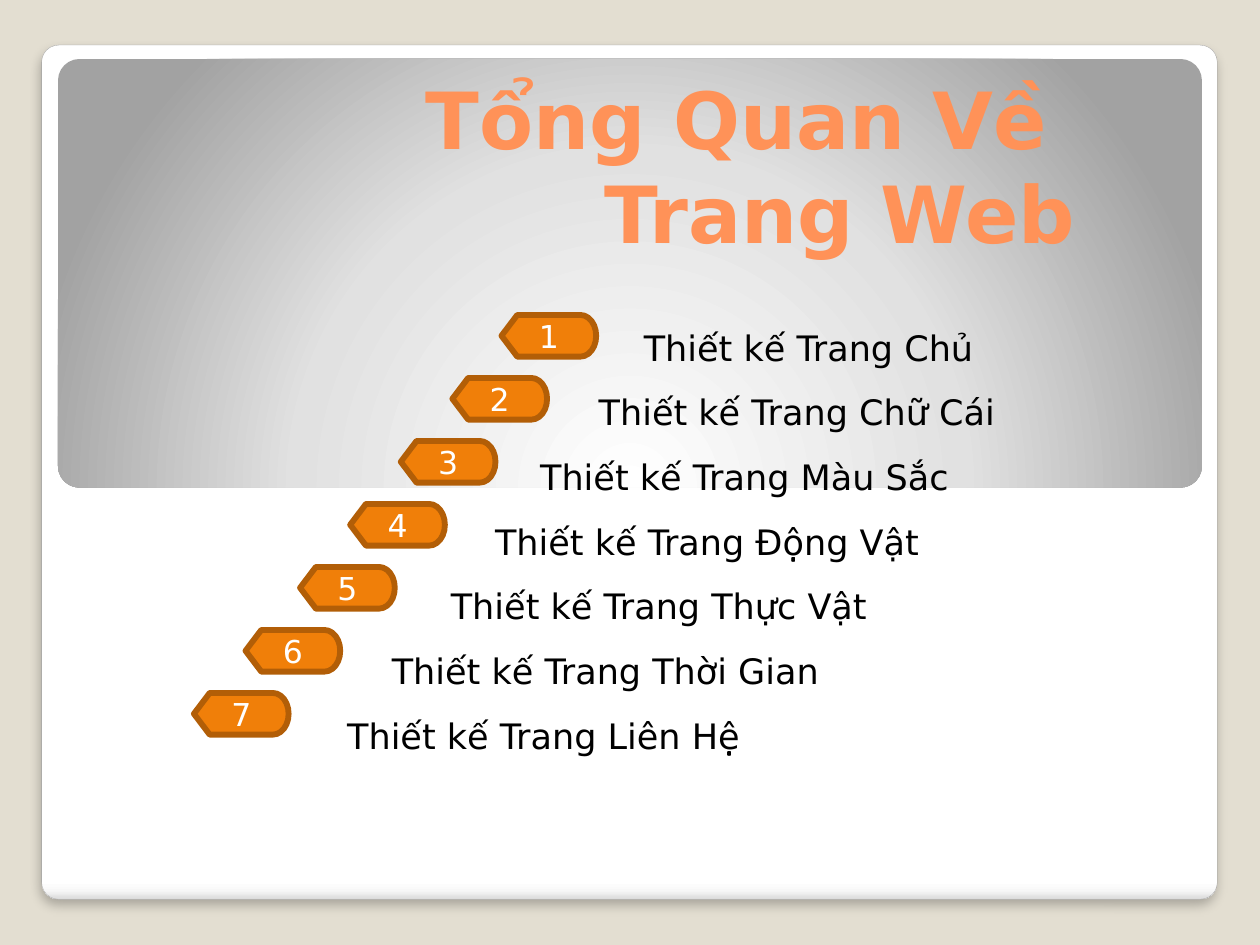
from lxml.etree import SubElement
from pptx import Presentation
from pptx.dml.color import RGBColor
from pptx.enum.shapes import MSO_SHAPE
from pptx.enum.text import MSO_ANCHOR, PP_ALIGN
from pptx.oxml.ns import qn
from pptx.util import Cm, Pt

FONT = "DejaVu Sans"
COLORS = {
    "background": "E3DED1", "card_line": "A4A4A4", "title": "FF9258",
    "text": "000000", "badge": "F07F09", "badge_line": "B25E07", "number": "FFFFFF",
}
RGB = {name: RGBColor.from_string(value) for name, value in COLORS.items()}

# Menu text, left edge of its badge (cm), indent of its text (cm)
MENU = [
    ("Thiết kế Trang Chủ", 10.11, 11.61),
    ("Thiết kế Trang Chữ Cái", 9.12, 10.7),
    ("Thiết kế Trang Màu Sắc", 8.08, 9.52),
    ("Thiết kế Trang Động Vật", 7.06, 8.61),
    ("Thiết kế Trang Thực Vật", 6.05, 7.72),
    ("Thiết kế Trang Thời Gian", 4.95, 6.53),
    ("Thiết kế Trang Liên Hệ", 3.91, 5.63),
]


def fill_gradient(sp, stops, kind, **attrs):
    """Fill sp with (percent, hex) stops; kind is "lin" or "path"."""
    sp.fill.gradient()
    grad = sp._element.spPr.find(qn("a:gradFill"))
    for child in list(grad):
        grad.remove(child)
    stop_list = SubElement(grad, qn("a:gsLst"))
    for percent, color in stops:
        stop = SubElement(stop_list, qn("a:gs"), pos=str(percent * 1000))
        SubElement(stop, qn("a:srgbClr"), val=color)
    return SubElement(grad, qn(f"a:{kind}"), **attrs)


def style_font(font, size, color, bold=False):
    values = {"name": FONT, "size": Pt(size), "bold": bold}
    for name, value in values.items():
        setattr(font, name, value)
    font.color.rgb = RGB[color]


prs = Presentation()
prs.slide_width, prs.slide_height = Cm(25.4), Cm(19.05)
s = prs.slides.add_slide(prs.slide_layouts[6])
s.background.fill.solid()
s.background.fill.fore_color.rgb = RGB["background"]

# White card with a soft shadow
card = s.shapes.add_shape(MSO_SHAPE.ROUNDED_RECTANGLE, Cm(0.84), Cm(0.91), Cm(23.7), Cm(17.22))
card.adjustments[0] = 0.02
fill_gradient(card, [(0, "FFFFFF"), (98, "FFFFFF"), (99, "F7F7F7"), (100, "DADADA")],
              "lin", ang="5400000", scaled="0")
card.line.color.rgb = RGB["card_line"]
card.line.width = Pt(0.16)
card.shadow.inherit = False
shadow = SubElement(card._element.spPr.find(qn("a:effectLst")), qn("a:outerShdw"),
                    blurRad=str(Pt(6)), dist=str(Pt(4)), dir="5400000", rotWithShape="0")
shadow_color = SubElement(shadow, qn("a:srgbClr"), val="000000")
SubElement(shadow_color, qn("a:alpha"), val="25000")

# Grey panel behind the title
panel = s.shapes.add_shape(MSO_SHAPE.ROUNDED_RECTANGLE, Cm(1.17), Cm(1.19), Cm(23.06), Cm(8.64))
panel.adjustments[0] = 0.05
path = fill_gradient(panel, [(0, "FFFFFF"), (55, "E1E1E1"), (100, "A2A2A2")],
                     "path", path="circle")
SubElement(path, qn("a:fillToRect"), l="50000", t="175000", r="50000", b="-75000")
panel.line.fill.background()
panel.shadow.inherit = False

# Title
title = s.shapes.add_textbox(Cm(1.68), Cm(1.27), Cm(20.12), Cm(4.09))
tf = title.text_frame
inset = Cm(0.13)
for name, value in {"word_wrap": True, "vertical_anchor": MSO_ANCHOR.BOTTOM,
                    "margin_left": inset, "margin_right": inset,
                    "margin_top": inset, "margin_bottom": inset}.items():
    setattr(tf, name, value)
p = tf.paragraphs[0]
p.text = "Tổng Quan Về \vTrang Web"
p.alignment = PP_ALIGN.RIGHT
for r in p.runs:
    style_font(r.font, 45, "title", bold=True)

# Menu text, stepping to the left line by line
menu = s.shapes.add_textbox(Cm(0.86), Cm(6.15), Cm(20.29), Cm(13.54))
tf = menu.text_frame
for name, value in {"word_wrap": True, "margin_left": Cm(0.51), "margin_right": Cm(0.25),
                    "margin_top": 0, "margin_bottom": inset}.items():
    setattr(tf, name, value)
for i, (text, _, indent) in enumerate(MENU):
    p = tf.add_paragraph() if i else tf.paragraphs[0]
    p.line_spacing = 1.5
    p.space_before = Pt(1)
    p._p.get_or_add_pPr().set("marL", str(Cm(indent)))
    r = p.add_run()
    r.text = text
    style_font(r.font, 20, "text")

# Numbered badges
for i, (_, left, _) in enumerate(MENU):
    badge = s.shapes.add_shape(MSO_SHAPE.FLOWCHART_DISPLAY,
                               Cm(left), Cm(6.35 + 1.27 * i), Cm(1.91), Cm(0.84))
    badge.shadow.inherit = False
    badge.fill.solid()
    badge.fill.fore_color.rgb = RGB["badge"]
    badge.line.color.rgb = RGB["badge_line"]
    badge.line.width = Pt(3.35)
    badge.text_frame.vertical_anchor = MSO_ANCHOR.MIDDLE
    p = badge.text_frame.paragraphs[0]
    p.alignment = PP_ALIGN.CENTER
    r = p.add_run()
    r.text = str(i + 1)
    style_font(r.font, 18, "number")

prs.save("out.pptx")
